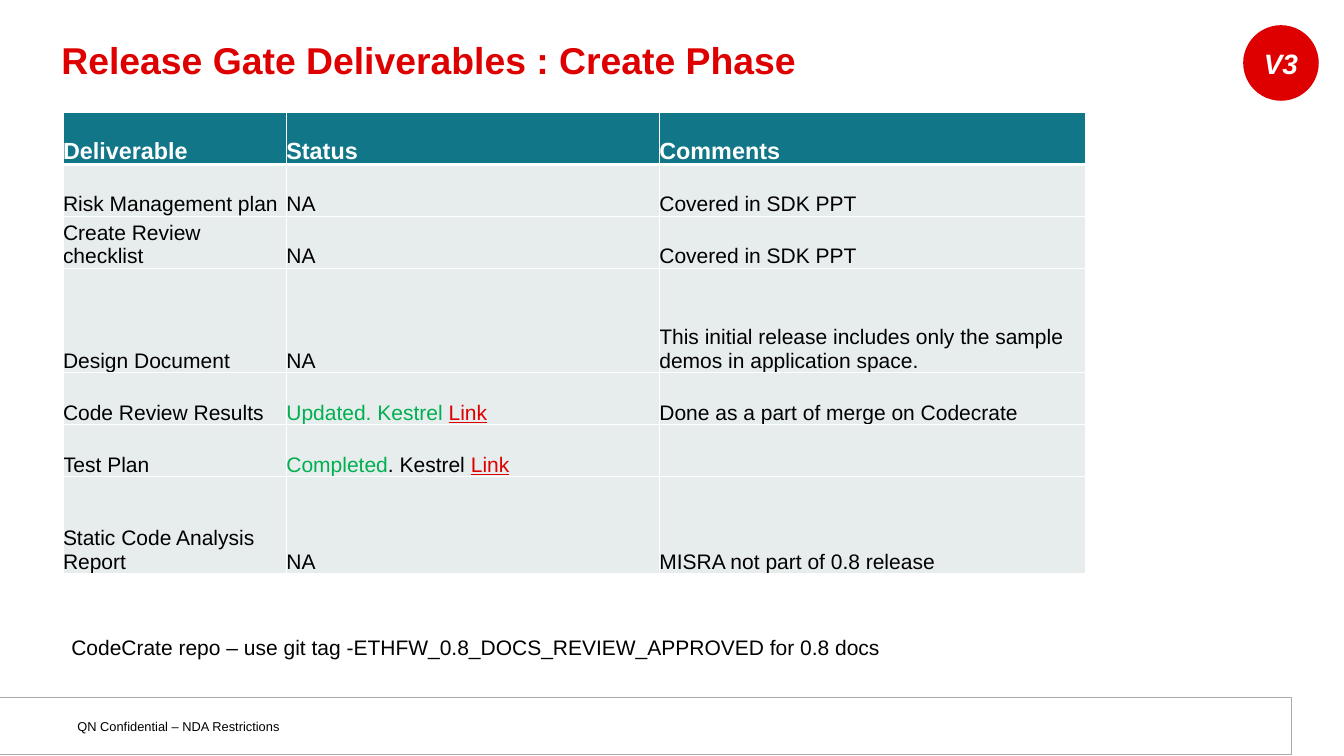
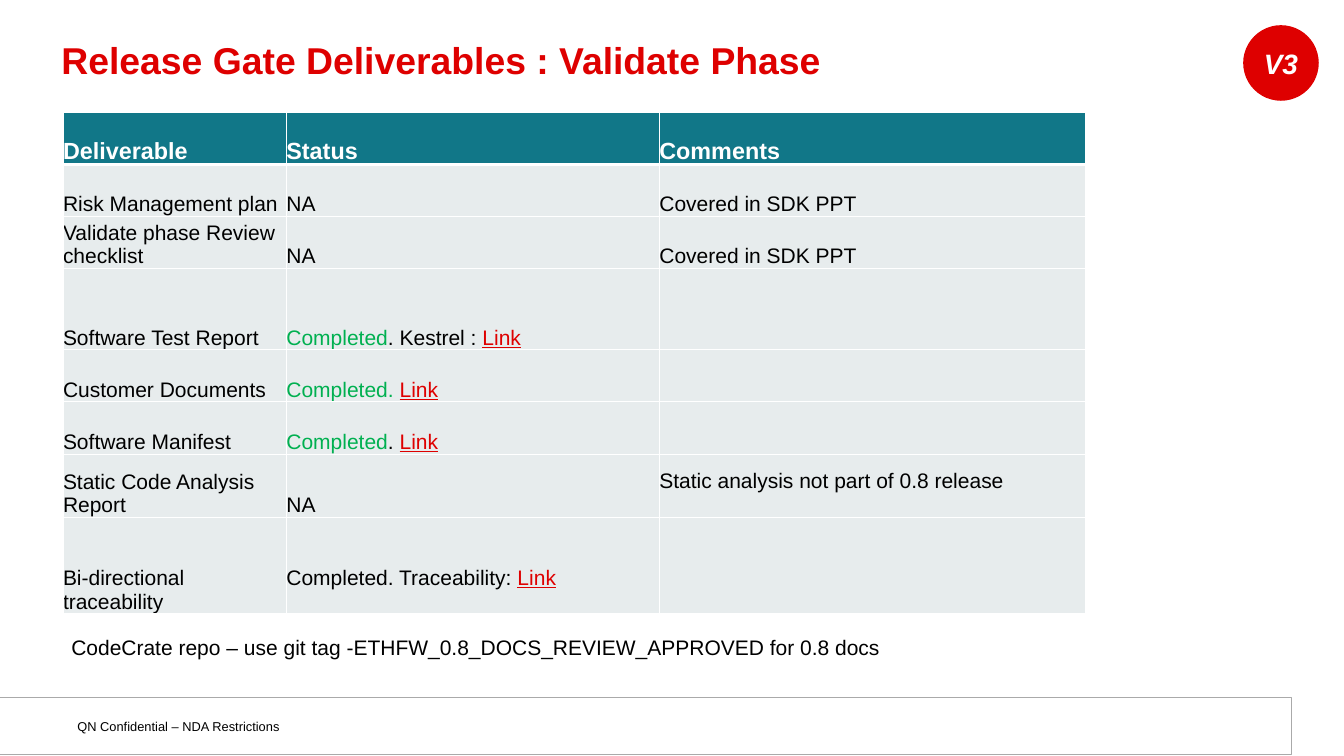
"""Build the release gate deliverables slides."""
from lxml import etree
from pptx import Presentation
from pptx.dml.color import RGBColor
from pptx.enum.shapes import MSO_SHAPE
from pptx.enum.text import MSO_ANCHOR, MSO_AUTO_SIZE, PP_ALIGN
from pptx.oxml.ns import qn
from pptx.util import Pt

RECT, OVAL = MSO_SHAPE.RECTANGLE, MSO_SHAPE.OVAL
MIDDLE, BOTTOM = MSO_ANCHOR.MIDDLE, MSO_ANCHOR.BOTTOM
LEFT, CENTER = PP_ALIGN.LEFT, PP_ALIGN.CENTER
FIXED = MSO_AUTO_SIZE.NONE

HUES = {"red": "DE0000", "link": "DE0000", "green": "00B050", "teal": "117788",
        "pale": "E7ECED", "gray": "AAAAAA", "white": "FFFFFF", "black": "000000"}
TITLE = (43.2, 21.6, 1008, 64.8)
BADGE = (1065.6, 21.6, 64.8, 64.8)
BAND = (-2.2, 597.6, 1108.8, 49)
FOOT = (56.9, 610.6, 266, 23)
NOTE = (54, 540, 876, 51)
COLS = (191.5, 319.7, 365)
LINE = 44.7
LIFT = 20.6

HEAD = ["Deliverable", "Status", "Comments"]
RISK = [LINE, "Risk Management plan", "NA", "Covered in SDK PPT"]
LINK = ("Link", "link")
DONE = ("Completed", "green")
DECK = [
    ("Create", [
        RISK,
        [LINE, "Create Review checklist", "NA", "Covered in SDK PPT"],
        [2 * LINE, "Design Document", "NA",
         "This initial release includes only the sample demos in application space."],
        [LINE, "Code Review Results", [("Updated. Kestrel ", "green"), LINK],
         "Done as a part of merge on Codecrate"],
        [LINE, "Test Plan", [DONE, (". Kestrel ", "black"), LINK], ""],
        [82.8, "Static Code Analysis Report", "NA", "MISRA not part of 0.8 release"],
    ], []),
    ("Validate", [
        RISK,
        [LINE, "Validate phase Review checklist", "NA", "Covered in SDK PPT"],
        [69.8, "Software Test Report", [DONE, (". Kestrel : ", "black"), LINK], ""],
        [LINE, "Customer Documents", [("Completed. ", "green"), LINK], ""],
        [LINE, "Software Manifest", [DONE, (". ", "black"), LINK], ""],
        [54, "Static Code Analysis Report", "NA", "Static analysis not part of 0.8 release"],
        [82.8, "Bi-directional traceability",
         [("Completed. Traceability: ", "black"), LINK], ""],
    ], [(6, 2), (7, 1)]),
]


def write(frame, runs, size, bold=False, align=LEFT, italic=False):
    """Add coloured runs to the first paragraph of a frame."""
    para = frame.paragraphs[0]
    para.alignment = align
    for text, hue in runs:
        run = para.add_run()
        run.text = text
        font = run.font
        font.name, font.size, font.bold, font.italic = "Arial", Pt(size), bold, italic
        font.color.rgb = RGBColor.from_string(HUES[hue])
        font.underline = hue == "link"


def edge(cell, sides):
    """Draw white cell borders of the given widths."""
    props = cell._tc.get_or_add_tcPr()
    for side, width in sides:
        line = etree.SubElement(props, qn("a:ln" + side), w=str(Pt(width)))
        fill = etree.SubElement(line, qn("a:solidFill"))
        etree.SubElement(fill, qn("a:srgbClr"), val=HUES["white"])


prs = Presentation()
prs.slide_width, prs.slide_height = Pt(1152), Pt(648)

for phase, rows, raised in DECK:
    slide = prs.slides.add_slide(prs.slide_layouts[5])
    shapes = slide.shapes

    title = shapes.title
    title.left, title.top, title.width, title.height = map(Pt, TITLE)
    frame = title.text_frame
    frame.auto_size, frame.word_wrap, frame.vertical_anchor = FIXED, True, MIDDLE
    frame.margin_left = frame.margin_right = Pt(9.4)
    frame.margin_top = frame.margin_bottom = Pt(5)
    write(frame, [(f"Release Gate Deliverables : {phase} Phase", "red")], 32, bold=True)
    frame.paragraphs[0].line_spacing = 0.85

    for kind, place, hue in ((RECT, BAND, "white"), (OVAL, BADGE, "red")):
        shape = shapes.add_shape(kind, *map(Pt, place))
        shape.shadow.inherit = False
        shape.fill.solid()
        shape.fill.fore_color.rgb = RGBColor.from_string(HUES[hue])
        if kind == RECT:
            shape.line.color.rgb = RGBColor.from_string(HUES["gray"])
            shape.line.width = Pt(0.75)
        else:
            shape.line.fill.background()
            shape.text_frame.vertical_anchor = MIDDLE
            write(shape.text_frame, [("V3", "white")], 24, True, CENTER, True)

    for place, text, size, side, top in (
            (FOOT, "QN Confidential – NDA Restrictions", 11, 9.4, 5),
            (NOTE, "CodeCrate repo – use git tag -ETHFW_0.8_DOCS_REVIEW_APPROVED for 0.8 docs",
             18, 7.2, 3.6)):
        frame = shapes.add_textbox(*map(Pt, place)).text_frame
        frame.word_wrap = True
        frame.margin_left = frame.margin_right = Pt(side)
        frame.margin_top = frame.margin_bottom = Pt(top)
        write(frame, [(text, "black")], size)

    grid = [[LINE] + HEAD] + rows
    tall = sum(row[0] for row in grid)
    table = shapes.add_table(len(grid), len(COLS), Pt(54), Pt(96),
                             Pt(sum(COLS)), Pt(tall)).table
    table.horz_banding = False
    for col, width in zip(table.columns, COLS):
        col.width = Pt(width)
    for r, (high, *texts) in enumerate(grid):
        table.rows[r].height = Pt(high)
        head = r == 0
        for c, text in enumerate(texts):
            cell = table.cell(r, c)
            cell.margin_left = cell.margin_right = cell.margin_top = 0
            cell.margin_bottom = Pt(LIFT) if (r, c) in raised else 0
            cell.vertical_anchor = BOTTOM
            edge(cell, (("L", 1), ("R", 1), ("T", 3 if r == 1 else 1), ("B", 3 if head else 1)))
            cell.fill.solid()
            cell.fill.fore_color.rgb = RGBColor.from_string(HUES["teal" if head else "pale"])
            if text:
                runs = [(text, "white" if head else "black")] if isinstance(text, str) else text
                write(cell.text_frame, runs, 20 if head else 18, bold=head)

prs.save("out.pptx")
